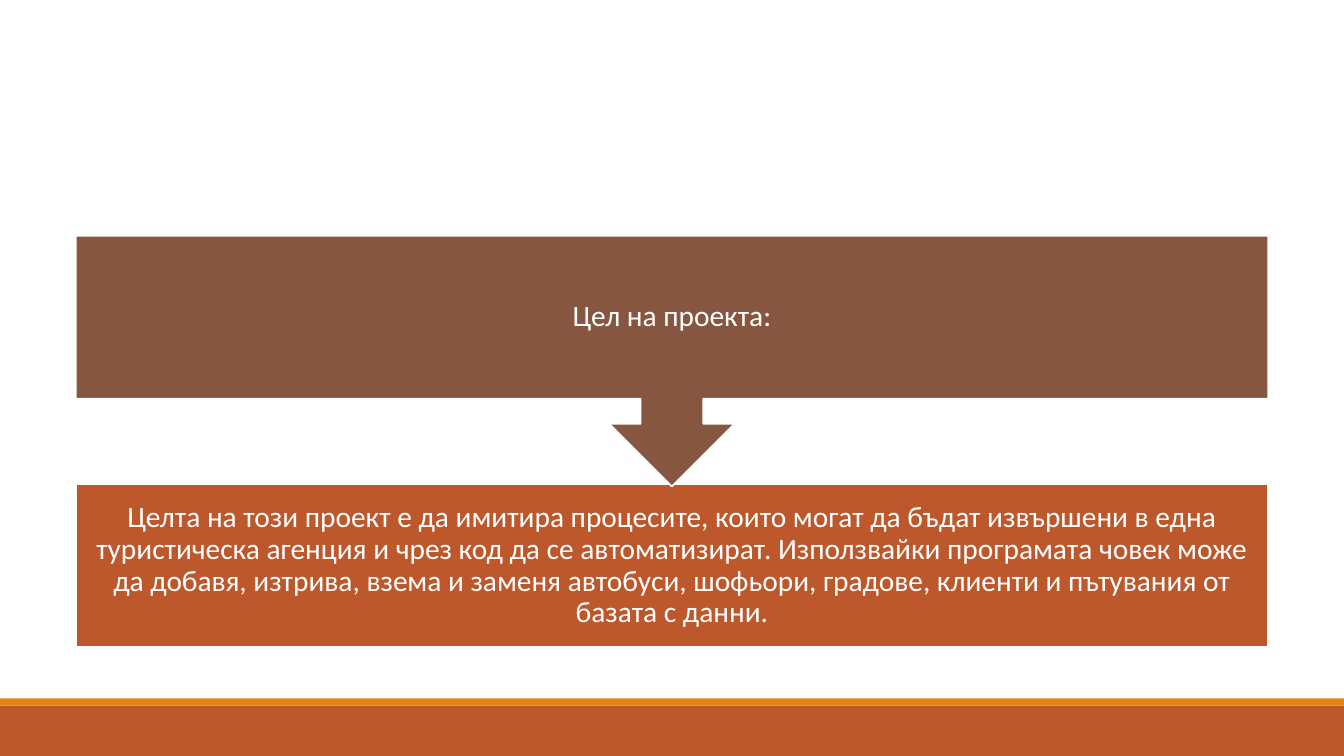
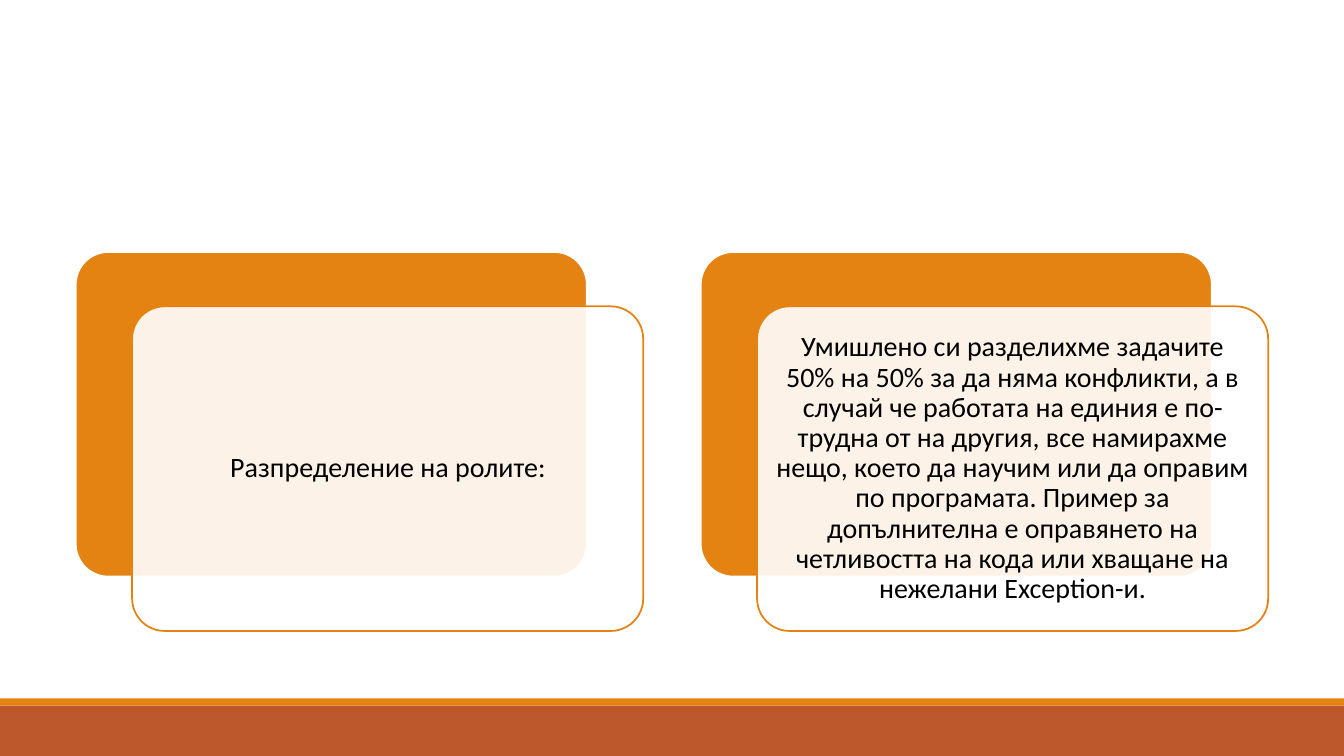
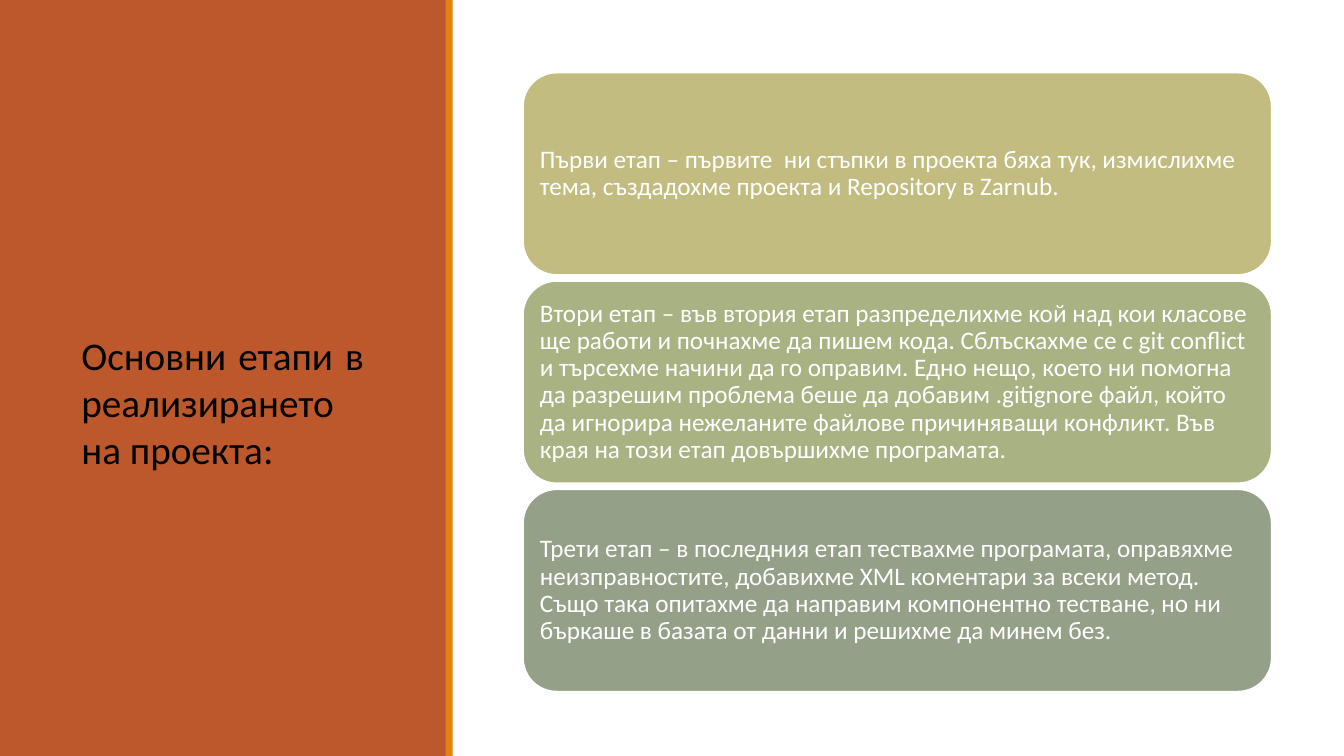
from lxml.etree import SubElement
from pptx import Presentation
from pptx.dml.color import RGBColor
from pptx.enum.shapes import MSO_SHAPE
from pptx.enum.text import MSO_ANCHOR, MSO_AUTO_SIZE, PP_ALIGN
from pptx.oxml.ns import qn
from pptx.util import Cm, Pt

FONT = "Calibri"
WHITE, BLACK = "FFFFFF", "000000"
RUST, ORANGE, BROWN = "BD582C", "E48312", "865640"
WIDTH, HEIGHT = 33.87, 19.05
BOTTOM_BANDS = [(0, 17.78, WIDTH, 1.27, RUST), (0, 17.6, WIDTH, 0.18, ORANGE)]
SIDE_BANDS = [(0, 0, 11.25, HEIGHT, RUST), (11.23, 0, 0.18, HEIGHT, ORANGE)]


def draw(page, preset, left, top, width, height, fill, line=None):
    shape = page.shapes.add_shape(preset, Cm(left), Cm(top), Cm(width), Cm(height))
    shape.shadow.inherit = False
    shape.fill.solid()
    shape.fill.fore_color.rgb = RGBColor.from_string(fill)
    if line:
        shape.line.color.rgb = RGBColor.from_string(line)
        shape.line.width = Pt(1.25)
    else:
        shape.line.fill.background()
    return shape


def write(shape, text, size, color, align, inset, spacing=0.9, anchor=MSO_ANCHOR.MIDDLE):
    frame = shape.text_frame
    frame.text = text
    frame.word_wrap = True
    frame.auto_size = MSO_AUTO_SIZE.NONE
    frame.vertical_anchor = anchor
    frame.margin_left = frame.margin_right = Cm(inset)
    frame.margin_top = frame.margin_bottom = Cm(inset)
    para = frame.paragraphs[0]
    para.alignment = align
    para.line_spacing = spacing
    para.font.name = FONT
    para.font.size = Pt(size)
    para.font.color.rgb = RGBColor.from_string(color)


deck = Presentation()
deck.slide_width, deck.slide_height = Cm(WIDTH), Cm(HEIGHT)
title_only = deck.slide_layouts[5]

pages = []
for bands in (BOTTOM_BANDS, BOTTOM_BANDS, SIDE_BANDS):
    page = deck.slides.add_slide(title_only)
    for band in bands:
        draw(page, MSO_SHAPE.RECTANGLE, *band)
    pages.append(page)
goal_page, roles_page, stages_page = pages

goal_box = draw(goal_page, MSO_SHAPE.RECTANGLE, 1.91, 12.2, 30.05, 4.11, RUST, WHITE)
write(
    goal_box,
    "Целта на този проект е да имитира процесите, които могат да бъдат извършени в една "
    "туристическа агенция и чрез код да се автоматизират. Използвайки програмата човек може "
    "да добавя, изтрива, взема и заменя автобуси, шофьори, градове, клиенти и пътувания от "
    "базата с данни.",
    21, WHITE, PP_ALIGN.CENTER, 0.41,
)
draw(goal_page, MSO_SHAPE.DOWN_ARROW_CALLOUT, 1.91, 5.94, 30.05, 6.32, BROWN, WHITE)

role_cards = []
for index in range(2):
    left = 1.91 + index * 15.75
    back = draw(roles_page, MSO_SHAPE.ROUNDED_RECTANGLE, left, 6.35, 12.88, 8.18, ORANGE, WHITE)
    card = draw(roles_page, MSO_SHAPE.ROUNDED_RECTANGLE, left + 1.42, 7.72, 12.88, 8.18, WHITE, ORANGE)
    back.adjustments[0] = card.adjustments[0] = 0.1
    card_color = card.element.spPr.find(qn("a:solidFill")).find(qn("a:srgbClr"))
    SubElement(card_color, qn("a:alpha")).set("val", "90000")
    role_cards.append(card)
write(
    role_cards[1],
    "Умишлено си разделихме задачите 50% на 50% за да няма конфликти, а в случай че работата "
    "на единия е по-трудна от на другия, все намирахме нещо, което да научим или да оправим "
    "по програмата. Пример за допълнителна е оправянето на четливостта на кода или хващане "
    "на нежелани Exception-и.",
    20, BLACK, PP_ALIGN.CENTER, 0.2,
)

stages = [
    ("C2BC80",
     "Първи етап – първите  ни стъпки в проекта бяха тук, измислихме тема, създадохме проекта "
     "и Repository в Zarnub."),
    ("A8B283",
     "Втори етап – във втория етап разпределихме кой над кои класове ще работи и почнахме да "
     "пишем кода. Сблъскахме се с git conflict и търсехме начини да го оправим. Едно нещо, "
     "което ни помогна да разрешим проблема беше да добавим .gitignore файл, който да игнорира "
     "нежеланите файлове причиняващи конфликт. Във края на този етап довършихме програмата."),
    ("94A088",
     "Трети етап – в последния етап тествахме програмата, оправяхме неизправностите, добавихме "
     "XML коментари за всеки метод. Също така опитахме да направим компонентно тестване, но ни "
     "бъркаше в базата от данни и решихме да минем без."),
]
for index, (color, text) in enumerate(stages):
    top = 1.83 + index * 5.25
    stage_box = draw(stages_page, MSO_SHAPE.ROUNDED_RECTANGLE, 13.18, top, 18.87, 5.1, color, WHITE)
    write(stage_box, text, 18, WHITE, PP_ALIGN.LEFT, 0.18)

titles = [
    (goal_page, (1.91, 5.94, 30.05, 4.11),
     ("Цел на проекта:", 21, WHITE, PP_ALIGN.CENTER, 0.41)),
    (roles_page, (3.58, 7.95, 12.4, 7.7),
     ("Разпределение на ролите:", 20, BLACK, PP_ALIGN.CENTER, 0.2)),
    (stages_page, (1.8, 8.1, 7.62, 3.84),
     ("Основни етапи в реализирането на проекта:", 28, BLACK, PP_ALIGN.JUSTIFY, 0.25, 1.0,
      MSO_ANCHOR.TOP)),
]
for page, place, wording in titles:
    title = page.shapes.title
    title.left, title.top, title.width, title.height = [Cm(length) for length in place]
    write(title, *wording)
    page.shapes.element.append(title.element)

deck.save("out.pptx")
